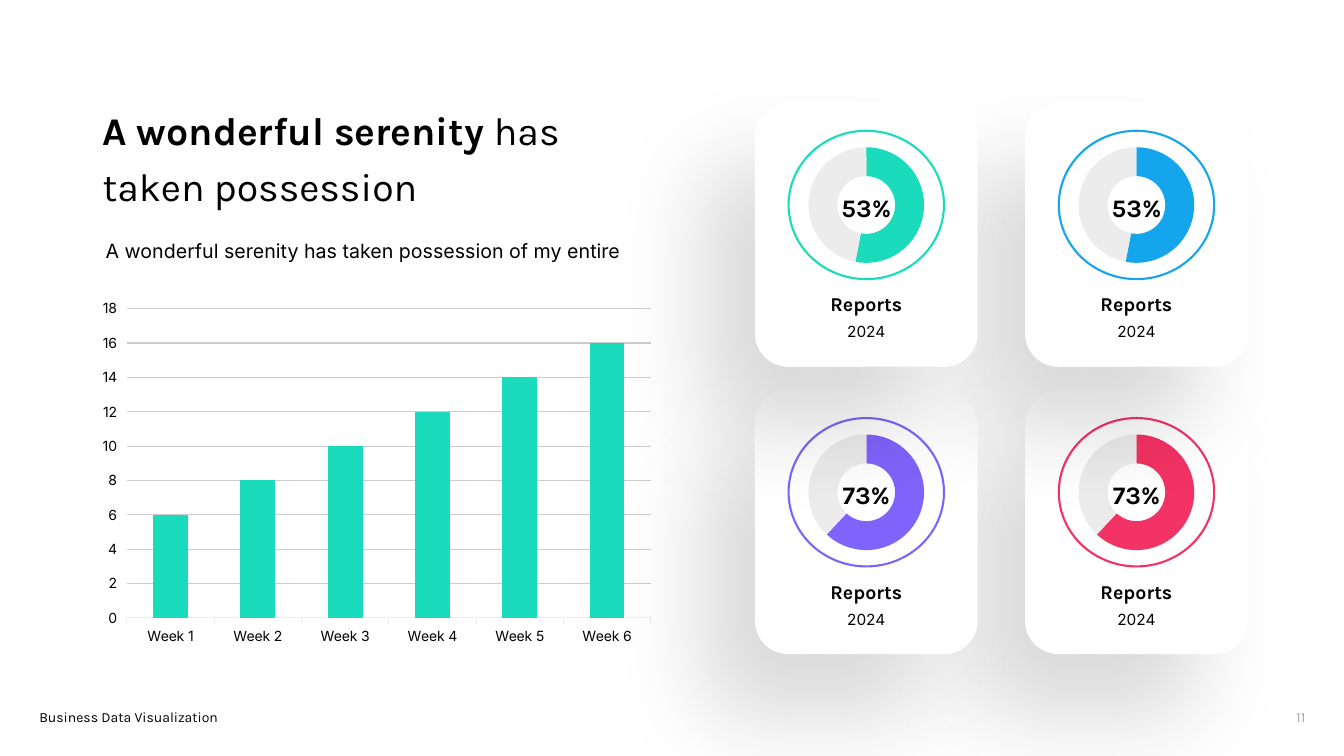
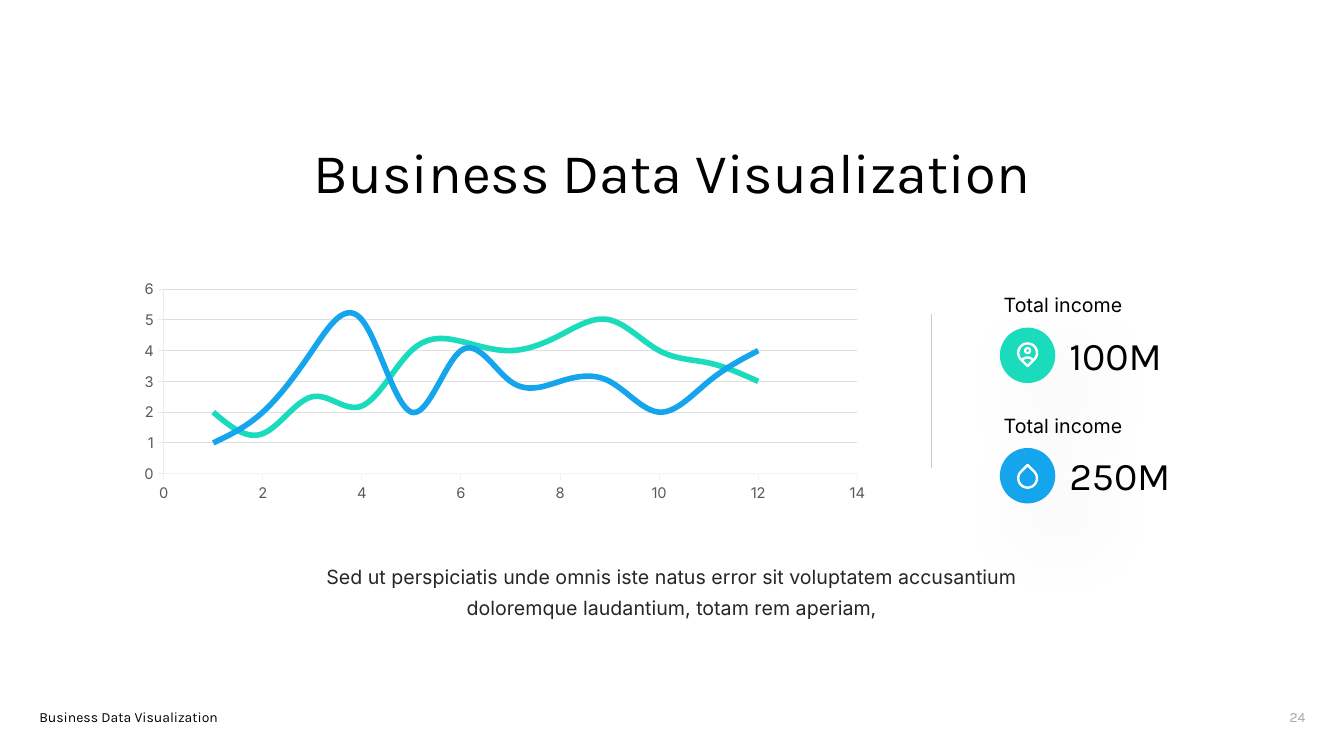
from math import cos, pi, sin, sqrt

from lxml import etree
from pptx import Presentation
from pptx.chart.data import CategoryChartData, XyChartData
from pptx.dml.color import RGBColor
from pptx.enum.chart import XL_CHART_TYPE, XL_TICK_MARK
from pptx.enum.shapes import MSO_CONNECTOR, MSO_SHAPE
from pptx.enum.text import MSO_ANCHOR, PP_ALIGN
from pptx.oxml.ns import qn
from pptx.util import Pt

COLUMNS = XL_CHART_TYPE.COLUMN_CLUSTERED
DOUGHNUT = XL_CHART_TYPE.DOUGHNUT
CURVES = XL_CHART_TYPE.XY_SCATTER_SMOOTH_NO_MARKERS
OUTSIDE = XL_TICK_MARK.OUTSIDE
STRAIGHT = MSO_CONNECTOR.STRAIGHT
OVAL, ROUNDED = MSO_SHAPE.OVAL, MSO_SHAPE.ROUNDED_RECTANGLE
LEFT, CENTER, RIGHT = PP_ALIGN.LEFT, PP_ALIGN.CENTER, PP_ALIGN.RIGHT
MIDDLE = MSO_ANCHOR.MIDDLE

COLORS = {
    "black": "000000", "body": "262626", "axis text": "595959",
    "page": "A6A6A6", "rule": "CCCCCC", "grid": "DEDDDF",
    "pale": "ECECEC", "faint": "F2F2F2", "white": "FFFFFF",
    "teal": "1ADBBB", "blue": "14A5ED", "violet": "7F64FB", "red": "F33265",
}
HEAD_FONT, BODY_FONT = "Karla", "Inter"
DECK_NAME = "Business Data Visualization"


def rgb(name):
    return RGBColor.from_string(COLORS[name])


def style_font(font, size, name, color="black", bold=False):
    font.size, font.name, font.bold = Pt(size), name, bold
    font.color.rgb = rgb(color)


def style_line(line, color, width=0.75):
    line.color.rgb = rgb(color)
    line.width = Pt(width)


def add_text(slide, box, text, size, font=BODY_FONT, color="black",
             bold=False, align=LEFT, spacing=None):
    label = slide.shapes.add_textbox(*map(Pt, box))
    label.text_frame.word_wrap = True
    label.text_frame.text = text
    paragraph = label.text_frame.paragraphs[0]
    paragraph.alignment = align
    if spacing:
        paragraph.line_spacing = spacing
    style_font(paragraph.runs[0].font, size, font, color, bold)
    return label


def style_outline(shape, fill=None, line=None, width=1.5):
    shape.shadow.inherit = False
    if fill:
        shape.fill.solid()
        shape.fill.fore_color.rgb = rgb(fill)
    else:
        shape.fill.background()
    if line:
        style_line(shape.line, line, width)
    else:
        shape.line.fill.background()


def add_shape(slide, kind, box, **look):
    shape = slide.shapes.add_shape(kind, *map(Pt, box))
    style_outline(shape, **look)
    return shape


def add_soft_shadow(shape, blur, distance, angle, opacity):
    effects = shape._element.spPr.find(qn("a:effectLst"))
    shadow = etree.SubElement(
        effects, qn("a:outerShdw"), blurRad=str(Pt(blur)), dist=str(Pt(distance)),
        dir=str(angle * 60000), algn="ctr", rotWithShape="0")
    tint = etree.SubElement(shadow, qn("a:srgbClr"), val=COLORS["black"])
    etree.SubElement(tint, qn("a:alpha"), val=str(opacity * 1000))


def add_chart(slide, kind, box, data, plot_box, size=10, color="black"):
    """Place a chart whose plot fills plot_box, given as fractions."""
    chart = slide.shapes.add_chart(kind, *map(Pt, box), data).chart
    chart.has_legend = chart.has_title = False
    style_font(chart.font, size, BODY_FONT, color)
    plot_area = chart._chartSpace.chart.plotArea
    layout = plot_area.find(qn("c:layout"))
    if layout is None:
        layout = etree.Element(qn("c:layout"))
        plot_area.insert(0, layout)
    manual = etree.SubElement(layout, qn("c:manualLayout"))
    settings = [("layoutTarget", "inner"), ("xMode", "edge"), ("yMode", "edge")]
    for tag, value in settings + list(zip("xywh", plot_box)):
        etree.SubElement(manual, qn(f"c:{tag}"), val=str(value))
    return chart


def style_axes(chart, category_line, value_line, grid, top, step):
    value_axis = chart.value_axis
    value_axis.minimum_scale, value_axis.maximum_scale = 0, top
    value_axis.major_unit = step
    style_line(value_axis.major_gridlines.format.line, grid)
    for axis, color in ((chart.category_axis, category_line), (value_axis, value_line)):
        axis.major_tick_mark = OUTSIDE
        style_line(axis.format.line, color)


def add_footer(slide, number):
    add_text(slide, (21, 502.5, 180, 20), DECK_NAME, 10, HEAD_FONT)
    add_text(slide, (908.5, 502.5, 31, 20), number, 10, HEAD_FONT, "page", align=RIGHT)


def add_weekly_columns(slide, box):
    data = CategoryChartData()
    data.categories = [f"Week {week}" for week in range(1, 7)]
    data.add_series("Series 1", range(6, 17, 2))
    chart = add_chart(slide, COLUMNS, box, data, (0.06, 0.04, 0.92, 0.86))
    style_axes(chart, "pale", "white", "rule", 18, 2)
    plot = chart.plots[0]
    plot.gap_width = 150
    plot.vary_by_categories = False
    bars = plot.series[0].format.fill
    bars.solid()
    bars.fore_color.rgb = rgb("teal")


def add_report_card(slide, box, color, share, label):
    left, top, width, height = box

    def centered(w, h, dy):
        return left + (width - w) / 2, top + dy, w, h

    card = add_shape(slide, ROUNDED, box, fill="white")
    card.adjustments[0] = 0.15
    add_soft_shadow(card, 68, 57, 130, 15)
    add_shape(slide, OVAL, centered(111, 106, 20), line=color)

    # Share of the ring
    data = CategoryChartData()
    data.categories = ["1", "2"]
    data.add_series("Series 1", (share, 100 - share))
    chart = add_chart(slide, DOUGHNUT, centered(135.5, 102, 21.6), data,
                      (0.19, 0.1, 0.62, 0.81))
    plot = chart.plots[0]
    plot.vary_by_categories = True
    plot.has_data_labels = False
    for hole in chart._chartSpace.iter(qn("c:holeSize")):
        hole.set("val", "80")
    for index, slice_color in enumerate((color, "pale")):
        part = plot.series[0].points[index].format
        part.fill.solid()
        part.fill.fore_color.rgb = rgb(slice_color)
        part.line.fill.background()

    # Figure and captions
    figure = add_text(slide, centered(58.5, 25, 59), label, 18, HEAD_FONT,
                      bold=True, align=CENTER, spacing=1.45).text_frame
    figure.vertical_anchor = MIDDLE
    figure.margin_top, figure.margin_bottom = 0, Pt(3.6)
    add_text(slide, centered(88, 24, 131.8), "Reports", 14, HEAD_FONT,
             bold=True, align=CENTER)
    add_text(slide, centered(88, 21, 153.4), "2024", 11, align=CENTER)


def add_stroke(slide, points, close):
    points = [(Pt(x), Pt(y)) for x, y in points]
    builder = slide.shapes.build_freeform(*points[0])
    builder.add_line_segments(points[1:], close=close)
    style_outline(builder.convert_to_shape(), line="white", width=1.7)


def arc(cx, cy, radius, start, end, steps=24):
    """Points on a circle, angles in degrees clockwise from the right."""
    angles = [(start + (end - start) * i / steps) * pi / 180 for i in range(steps + 1)]
    return [(cx + radius * cos(a), cy + radius * sin(a)) for a in angles]


def add_drop(slide, cx, cy, tip):
    """Outline a drop whose tip points up (-1) or down (1)."""
    radius = 6.7
    cy -= tip * 1.8
    body = arc(cx, cy, radius, tip * 135, tip * 405)
    add_stroke(slide, [(cx, cy + tip * radius * sqrt(2))] + body, True)


def add_drop_icon(slide, cx, cy):
    add_drop(slide, cx, cy, -1)


def add_pin_icon(slide, cx, cy):
    add_drop(slide, cx, cy, 1)
    add_shape(slide, OVAL, (cx - 1.8, cy - 5.2, 3.6, 3.6), line="white", width=1.6)
    add_stroke(slide, arc(cx, cy + 6.6, 5, 218, 322), False)


def add_income(slide, box, amount, color, draw_icon):
    left, top, width, _ = box
    size = 39.6
    add_text(slide, (left, top, width, 27.5), "Total income", 14, spacing=1.3)
    add_text(slide, (left + 46.8, top + 32, 113, 41), amount, 28, HEAD_FONT)
    badge_left, badge_top = left + 4.3, top + 33
    badge = add_shape(slide, OVAL, (badge_left, badge_top, size, size), fill=color)
    add_soft_shadow(badge, 64, 32, 45, 8)
    draw_icon(slide, badge_left + size / 2, badge_top + size / 2)


def add_curves(slide, box):
    curves = {
        "blue": (1, 2, 4, 5, 2, 4, 3, 3, 3, 2, 3, 4),
        "teal": (2, 1.3, 2.5, 2.2, 4, 4.3, 4, 4.5, 5, 4, 3.6, 3),
    }
    data = XyChartData()
    for number, values in enumerate(curves.values(), 1):
        series = data.add_series(f"Series {number}")
        for x, y in enumerate(values, 1):
            series.add_data_point(x, y)
    chart = add_chart(slide, CURVES, box, data, (0.05, 0.06, 0.92, 0.8),
                      10.5, "axis text")
    style_axes(chart, "faint", "pale", "grid", 6, 1)
    x_axis = chart.category_axis
    x_axis.has_major_gridlines = False
    x_axis.minimum_scale, x_axis.maximum_scale, x_axis.major_unit = 0, 14, 2
    chart.value_axis.tick_labels.number_format = "0"
    chart.value_axis.tick_labels.number_format_is_linked = False
    chart.plots[0].vary_by_categories = False
    for series, color in zip(chart.plots[0].series, curves):
        style_line(series.format.line, color, 4)
    for smooth in chart._chartSpace.iter(qn("c:smooth")):
        smooth.set("val", "1")


def build_reports_slide(slide):
    add_footer(slide, "11")
    add_weekly_columns(slide, (66.2, 210.2, 406.8, 257))
    title = add_text(slide, (66.2, 65.5, 406, 86), "A wonderful serenity ", 28,
                     HEAD_FONT, bold=True, spacing=1.2)
    ending = title.text_frame.paragraphs[0].add_run()
    ending.text = "has taken possession"
    style_font(ending.font, 28, HEAD_FONT)
    add_text(slide, (68.4, 162, 383, 27.5),
             "A wonderful serenity has taken possession of my entire", 14, spacing=1.3)

    # Grid of report cards
    rows = [(("teal", "blue"), 53, "53%"), (("violet", "red"), 62, "73%")]
    for row, (colors, share, label) in reversed(list(enumerate(rows))):
        for column, color in reversed(list(enumerate(colors))):
            box = (539.2 + column * 193, 73.4 + row * 205.2, 159.2, 188.6)
            add_report_card(slide, box, color, share, label)


def build_income_slide(slide):
    add_footer(slide, "24")
    add_curves(slide, (90, 196.6, 538.6, 164.9))
    incomes = [("100M", "teal", add_pin_icon), ("250M", "blue", add_drop_icon)]
    for row, income in enumerate(incomes):
        add_income(slide, (709.9, 201 + row * 86, 148.3, 73), *income)
    divider = slide.shapes.add_connector(STRAIGHT, Pt(665), Pt(334), Pt(665), Pt(224.6))
    style_line(divider.line, "rule", 0.5)
    etree.SubElement(divider._element.spPr, qn("a:effectLst"))
    add_text(slide, (119.5, 95, 720.7, 55.4), DECK_NAME, 40, HEAD_FONT, align=CENTER)
    add_text(slide, (212.4, 395.3, 535, 49),
             "Sed ut perspiciatis unde omnis iste natus error sit voluptatem accusantium "
             "doloremque laudantium, totam rem aperiam,",
             14, color="body", align=CENTER, spacing=1.3)


def main():
    deck = Presentation()
    deck.slide_width, deck.slide_height = Pt(960), Pt(540)
    for build in (build_reports_slide, build_income_slide):
        build(deck.slides.add_slide(deck.slide_layouts[6]))
    deck.save("out.pptx")


if __name__ == "__main__":
    main()
